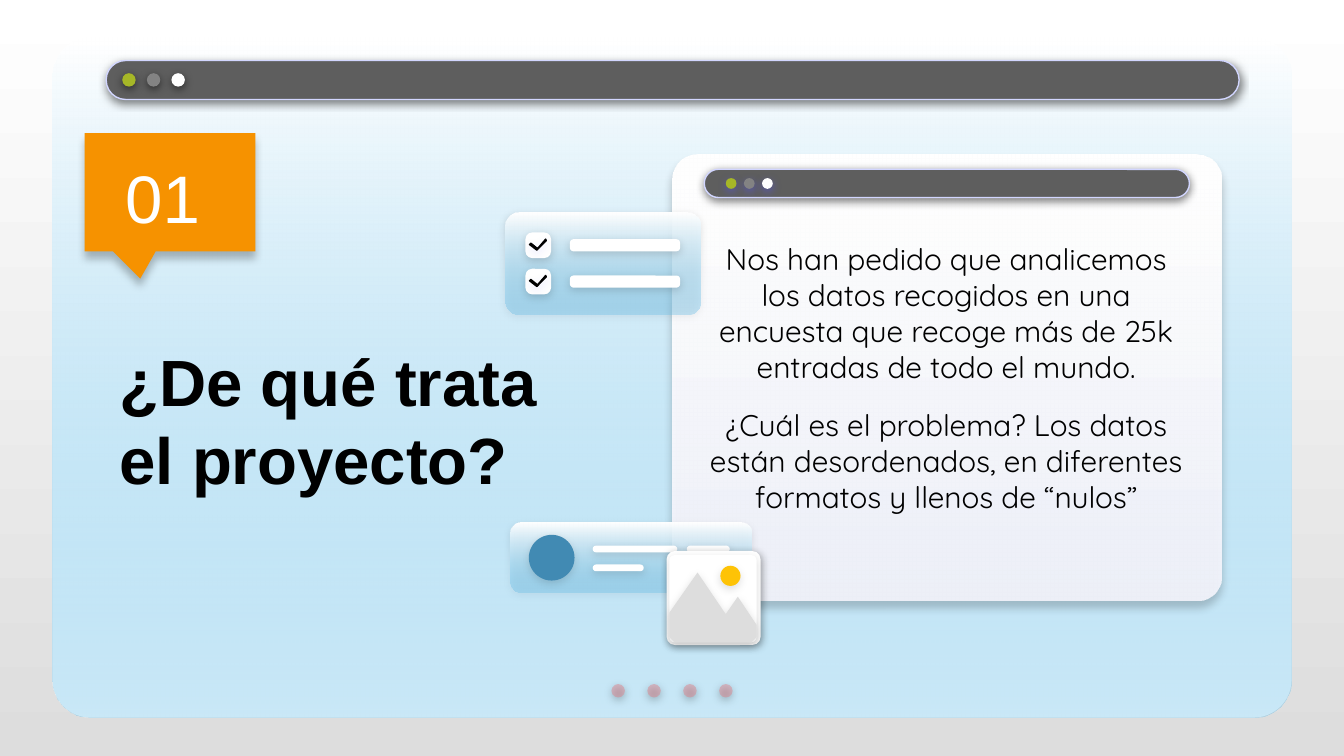
from dataclasses import dataclass
from typing import NamedTuple

from lxml.etree import SubElement
from pptx import Presentation
from pptx.dml.color import RGBColor
from pptx.enum.shapes import MSO_SHAPE
from pptx.enum.text import MSO_ANCHOR, PP_ALIGN
from pptx.oxml.ns import qn
from pptx.util import Inches, Pt

UNIT = Inches(0.1)
COLS, ROWS = 100, 56.25


@dataclass(frozen=True)
class Theme:
    """Colours, fonts, type sizes and shadows of the deck."""

    white: str = "FFFFFF"
    black: str = "000000"
    grey: str = "DDDDDD"
    bar: str = "5E5E5E"
    bar_line: str = "D2D6FF"
    lights: tuple = ("A6B727", "838383", "FFFFFF")
    page_dot: tuple = ("E27B83", 44)
    glass: tuple = ("FFFFFF", ("66BEE9", 35))
    card: tuple = ("FFFFFF", ("F9F8FF", 87))
    avatar: str = "418AB3"
    sun: str = "FEC306"
    badge: str = "F69200"
    head: str = "Arial"
    body: str = "Quicksand"
    title_size: int = 35
    badge_size: int = 36
    body_size: int = 16
    strong: tuple = ("000000", 50, 4.5, 1.5, 90)
    tinted: tuple = ("5352EE", 50, 4.5, 1.5, 90)
    tick: tuple = ("5352EE", 15, 4.5, 1.5, 90)
    soft: tuple = ("000000", 15, 4.5, 1.5, 90)
    faint: tuple = ("000000", 13, 4.5, 1.5, 90)
    frame: tuple = ("000000", 33, 4.5, 1.5, 64)
    lifted: tuple = ("000000", 22, 4.5, 3.8, 91)
    badge_drop: tuple = ("000000", 25, 4.5, 3.8, 90)


T = Theme()


class Box(NamedTuple):
    """A rectangle in grid columns and rows."""

    x: float
    y: float
    w: float
    h: float

    def inner(self, dx, dy, w, h):
        """Return a box offset from this one's top left corner."""
        return Box(self.x + dx, self.y + dy, w, h)

    def emu(self):
        """Return the box in drawing units."""
        return [round(v * UNIT) for v in self]


def set_gradient(fill, colors):
    """Give a fill a two-stop gradient from top to bottom."""
    fill.gradient()
    fill.gradient_angle = 270
    for stop, color in zip(fill.gradient_stops, colors):
        stop.color.rgb = RGBColor.from_string(color)


def style(sp, colors, line=None, shadow=None):
    """Set fill, line and shadow; a colour may be a (colour, alpha) pair."""
    pairs = [(c, 100) if isinstance(c, str) else c for c in colors]
    if len(pairs) > 1:
        set_gradient(sp.fill, [c for c, _ in pairs])
    else:
        sp.fill.solid()
        sp.fill.fore_color.rgb = RGBColor.from_string(pairs[0][0])
    spPr = sp._element.spPr
    for node, (_, alpha) in zip(spPr.iter(qn("a:srgbClr")), pairs):
        if alpha < 100:
            SubElement(node, qn("a:alpha"), val=str(alpha * 1000))
    if line:
        sp.line.color.rgb = RGBColor.from_string(line)
        sp.line.width = Pt(0.75)
    else:
        sp.line.fill.background()
    sp.shadow.inherit = False
    if shadow:
        color, alpha, blur, dist, angle = shadow
        outer = SubElement(spPr.find(qn("a:effectLst")), qn("a:outerShdw"),
                           blurRad=str(Pt(blur)), dist=str(Pt(dist)),
                           dir=str(angle * 60000), algn="bl", rotWithShape="0")
        node = SubElement(outer, qn("a:srgbClr"), val=color)
        SubElement(node, qn("a:alpha"), val=str(alpha * 1000))


def add_preset(s, kind, box, *colors, adj=(), **look):
    """Add a styled preset shape."""
    sp = s.shapes.add_shape(kind, *box.emu())
    for i, value in enumerate(adj):
        sp.adjustments[i] = value
    style(sp, colors, **look)


def add_round(s, box, radius, *colors, **look):
    """Add a rounded rectangle."""
    add_preset(s, MSO_SHAPE.ROUNDED_RECTANGLE, box, *colors, adj=(radius,), **look)


def add_dot(s, box, color, shadow):
    """Add an ellipse."""
    add_preset(s, MSO_SHAPE.OVAL, box, color, shadow=shadow)


def add_outline(s, box, points, color, **look):
    """Add a closed outline whose points are offsets within the box."""
    pts = [box.inner(dx, dy, 0, 0).emu()[:2] for dx, dy in points]
    fb = s.shapes.build_freeform(*pts[0])
    fb.add_line_segments(pts[1:], close=True)
    style(fb.convert_to_shape(), [color], **look)


def add_text(s, box, texts, color, anchor, para, font):
    """Add a text box formatted from dicts of paragraph and font values."""
    tf = s.shapes.add_textbox(*box.emu()).text_frame
    frame = {f"margin_{side}": UNIT for side in ("left", "top", "right", "bottom")}
    for name, value in {**frame, "word_wrap": True, "vertical_anchor": anchor}.items():
        setattr(tf, name, value)
    for i, text in enumerate(texts):
        p = tf.add_paragraph() if i else tf.paragraphs[0]
        r = p.add_run()
        r.text = text
        r.font.color.rgb = RGBColor.from_string(color)
        for target, values in ((p, para), (r.font, font)):
            for name, value in values.items():
                setattr(target, name, value)


def window_bar(s, box, first, dot, step, shadow):
    """Draw a title bar with three round lights."""
    add_round(s, box, 0.5, T.bar, line=T.bar_line, shadow=T.strong)
    for i, color in enumerate(T.lights):
        spot = box.inner(first + i * step, (box.h - dot) / 2, dot, dot)
        add_dot(s, spot, color, shadow)


def window(s, box):
    """Draw the main window with its bar and page dots."""
    add_round(s, box, 0.056, T.white)
    add_round(s, box, 0.056, *T.glass)
    for i in range(4):
        add_dot(s, box.inner(41.6 + i * 2.67, 48.1, 1, 1), T.page_dot, T.strong)
    window_bar(s, box.inner(4, 1.7, 84.3, 2.9), 1.2, 1, 1.83, T.strong)


def text_card(s, box, texts):
    """Draw the white card with its bar and centred text."""
    add_round(s, box, 0.056, *T.card, shadow=T.lifted)
    window_bar(s, box.inner(2.4, 1.1, 36.1, 2.1), 1.6, 0.8, 1.35, T.tinted)
    add_text(s, box.inner(1.5, 4.3, 37.8, 24.6), texts, T.black, MSO_ANCHOR.MIDDLE,
             {"alignment": PP_ALIGN.CENTER, "space_after": Pt(12)},
             {"name": T.body, "size": Pt(T.body_size)})


def checklist(s, box):
    """Draw the glass panel with two ticked rows."""
    tick = [(1.2, 0), (0.6, 0.7), (0.1, 0.3), (0, 0.4), (0.55, 0.82), (1.25, 0.1)]
    add_round(s, box, 0.13, *T.glass, shadow=T.soft)
    for dy in (1.5, 4.2):
        add_round(s, box.inner(4.8, dy + 0.5, 8.2, 0.9), 0.3, T.white, shadow=T.soft)
        add_round(s, box.inner(1.5, dy, 1.9, 1.9), 0.26, T.white, shadow=T.soft)
        add_outline(s, box.inner(1.8, dy + 0.5, 1.2, 0.8), tick, T.black,
                    line=T.black, shadow=T.tick)


def profile(s, box):
    """Draw the glass panel with an avatar disc and text bars."""
    add_round(s, box, 0.15, *T.glass, shadow=T.faint)
    add_dot(s, box.inner(1.35, 0.9, 3.4, 3.4), T.avatar, T.faint)
    for dx, dy, w in ((6.1, 1.7, 6.3), (13.1, 1.7, 3.2), (6.1, 3.1, 3.8)):
        add_round(s, box.inner(dx, dy, w, 0.5), 0.5, T.white, shadow=T.faint)


def photo_icon(s, box):
    """Draw the framed landscape icon."""
    peaks = [(2.3, 1.6), (0.2, 4.6), (0.2, 6.4), (0.6, 6.8), (6.3, 6.8), (6.7, 6.4),
             (6.7, 5.5), (5.3, 3.4), (4.4, 4.7)]
    add_round(s, box, 0.09, T.white, shadow=T.frame)
    add_round(s, box.inner(0.2, 0.3, 6.5, 6.5), 0.06, T.white, shadow=T.faint)
    add_outline(s, box, peaks, T.grey, shadow=T.faint)
    add_dot(s, box.inner(4, 1.1, 1.5, 1.5), T.sun, T.faint)


def badge(s, box, number):
    """Draw the section number in a callout."""
    add_preset(s, MSO_SHAPE.ROUNDED_RECTANGULAR_CALLOUT, box, T.badge,
               adj=(-0.174, 0.731, 0), shadow=T.badge_drop)
    add_text(s, box.inner(0.5, 0.9, 10.6, 7.8), [number], T.white, MSO_ANCHOR.BOTTOM,
             {"alignment": PP_ALIGN.CENTER}, {"name": T.head, "size": Pt(T.badge_size)})


def main():
    """Build the section slide and save it."""
    prs = Presentation()
    prs.slide_width, prs.slide_height = int(COLS * UNIT), int(ROWS * UNIT)
    s = prs.slides.add_slide(prs.slide_layouts[6])
    set_gradient(s.background.fill, (T.white, T.grey))
    window(s, Box(3.9, 2.8, 92.2, 50.6))
    add_text(s, Box(7.9, 23.4, 36.1, 15.6), ["¿De qué trata el proyecto?"], T.black,
             MSO_ANCHOR.MIDDLE, {"alignment": PP_ALIGN.LEFT},
             {"name": T.head, "size": Pt(T.title_size), "bold": True})
    text_card(s, Box(50, 11.5, 40.9, 33.2), [
        "Nos han pedido que analicemos los datos recogidos en una encuesta "
        "que recoge más de 25k entradas de todo el mundo.",
        "¿Cuál es el problema? Los datos están desordenados, en diferentes "
        "formatos y llenos de “nulos”"])
    checklist(s, Box(37.6, 15.8, 14.5, 7.6))
    profile(s, Box(38, 38.9, 17.9, 5.2))
    photo_icon(s, Box(49.6, 41, 7, 7))
    badge(s, Box(6.3, 9.9, 12.7, 8.8), "01")
    prs.save("out.pptx")


if __name__ == "__main__":
    main()
